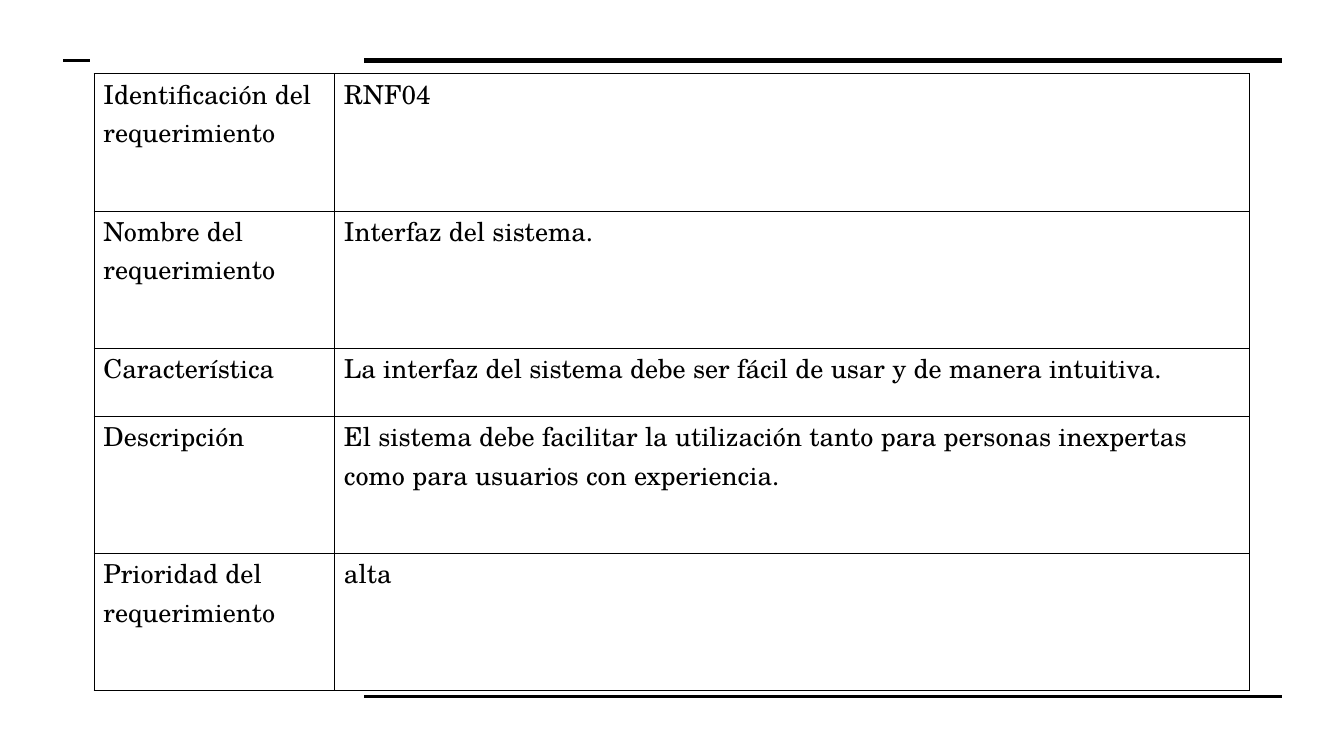
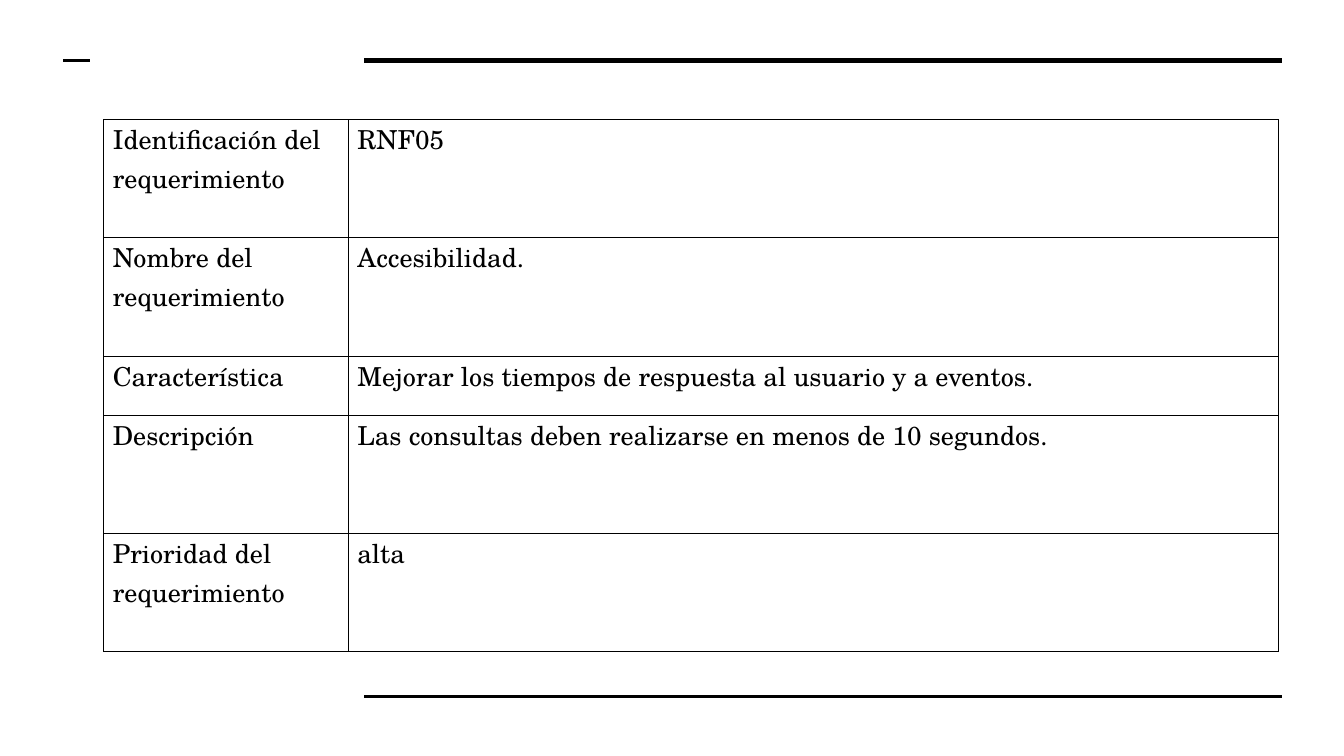
from dataclasses import dataclass

from lxml import etree
from pptx import Presentation
from pptx import util as u
from pptx.dml.color import RGBColor
from pptx.enum import shapes, text
from pptx.oxml.ns import qn


@dataclass(frozen=True)
class Theme:
    ink: str = "000000"
    paper: str = "FFFFFF"
    font: str = "TeX Gyre Schola"
    body_size: float = 14
    line_pitch: float = 20.8
    thick_rule: float = 3
    thin_rule: float = 1.5
    cell_border: float = 0.5
    cell_inset: float = 0.07


LABELS = (
    "Identificación del requerimiento",
    "Nombre del requerimiento",
    "Característica",
    "Descripción",
    "Prioridad del requerimiento",
)
ROW_UNITS = (2, 2, 1, 2, 2)


class SlideBuilder:
    def __init__(self, deck, theme):
        self.deck = deck
        self.theme = theme
        self.page = None

    def new_page(self):
        """Start a slide with the shared background and rules."""
        self.page = self.deck.slides.add_slide(self.deck.slide_layouts[6])
        fill = self.page.background.fill
        fill.solid()
        fill.fore_color.rgb = RGBColor.from_string(self.theme.paper)
        self.rule(2.71, 9.54, 0.45, self.theme.thick_rule)
        self.rule(2.71, 9.54, 5.18, self.theme.thin_rule)
        self.rule(0.47, 0.67, 0.45, self.theme.thin_rule)

    def rule(self, left, right, y, width):
        line = self.page.shapes.add_connector(
            shapes.MSO_CONNECTOR.STRAIGHT,
            u.Inches(left), u.Inches(y), u.Inches(right), u.Inches(y))
        line.line.color.rgb = RGBColor.from_string(self.theme.ink)
        line.line.width = u.Pt(width)
        etree.SubElement(line._element.spPr, qn("a:effectLst"))

    def requirement_table(self, left, top, widths, row_unit, values):
        heights = [units * row_unit for units in ROW_UNITS]
        frame = self.page.shapes.add_table(
            len(LABELS), len(widths), u.Inches(left), u.Inches(top),
            u.Inches(sum(widths)), u.Inches(sum(heights)))
        table = frame.table
        table.first_row = table.horz_banding = False
        for column, width in zip(table.columns, widths):
            column.width = u.Inches(width)
        for row, height, words in zip(table.rows, heights, zip(LABELS, values)):
            row.height = u.Inches(height)
            for cell, wording in zip(row.cells, words):
                self.fill_cell(cell, wording)

    def fill_cell(self, cell, wording):
        theme = self.theme
        cell.margin_left = cell.margin_right = u.Inches(theme.cell_inset)
        cell.margin_top = cell.margin_bottom = 0
        cell.vertical_anchor = text.MSO_ANCHOR.TOP
        cell.text_frame.text = wording
        para = cell.text_frame.paragraphs[0]
        para.alignment = text.PP_ALIGN.LEFT
        para.line_spacing = u.Pt(theme.line_pitch)
        for span in para.runs:
            span.font.name = theme.font
            span.font.size = u.Pt(theme.body_size)
            span.font.color.rgb = RGBColor.from_string(theme.ink)
        self.border_cell(cell)
        cell.fill.background()

    def border_cell(self, cell):
        properties = cell._tc.get_or_add_tcPr()
        for side in ("lnL", "lnR", "lnT", "lnB"):
            edge = etree.SubElement(properties, qn(f"a:{side}"),
                                    w=str(u.Pt(self.theme.cell_border)))
            solid = etree.SubElement(edge, qn("a:solidFill"))
            etree.SubElement(solid, qn("a:srgbClr"), val=self.theme.ink)


def main():
    deck = Presentation()
    deck.slide_width = u.Inches(10)
    deck.slide_height = u.Inches(10 * 9 / 16)
    builder = SlideBuilder(deck, Theme())

    builder.new_page()
    builder.requirement_table(0.7, 0.55, (1.79, 6.81), 0.51, (
        "RNF04",
        "Interfaz del sistema.",
        "La interfaz del sistema debe ser fácil de usar y de manera intuitiva.",
        "El sistema debe facilitar la utilización tanto para personas "
        "inexpertas como para usuarios con experiencia.",
        "alta",
    ))

    builder.new_page()
    builder.requirement_table(0.77, 0.89, (1.82, 6.92), 0.44, (
        "RNF05",
        "Accesibilidad.",
        "Mejorar los tiempos de respuesta al usuario y a eventos.",
        "Las consultas deben realizarse en menos de 10 segundos.",
        "alta",
    ))

    deck.save("out.pptx")


if __name__ == "__main__":
    main()
